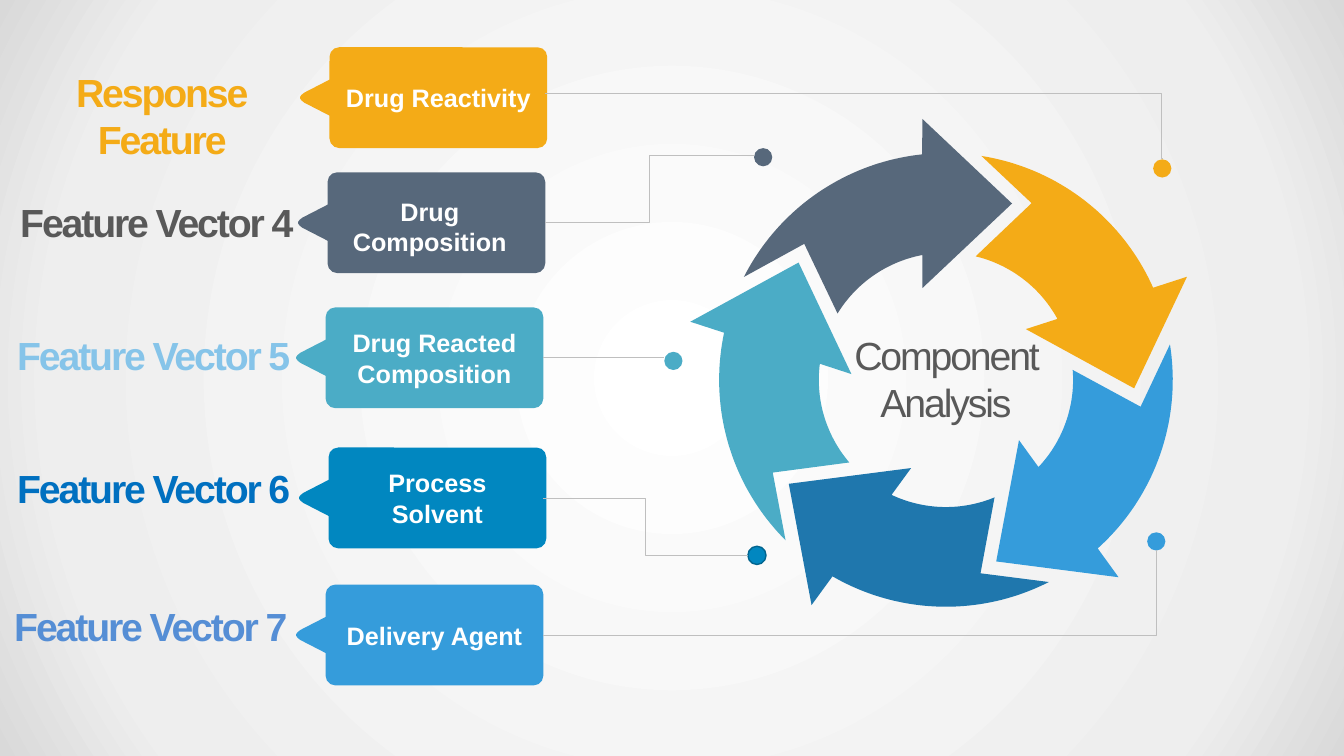
from dataclasses import dataclass
from math import cos, radians, sin

from lxml import etree
from pptx import Presentation
from pptx.dml.color import RGBColor
from pptx.enum.shapes import MSO_CONNECTOR as Link, MSO_SHAPE as Kind
from pptx.enum.text import MSO_ANCHOR as Anchor, MSO_AUTO_SIZE as Fit, PP_ALIGN as Align
from pptx.oxml import parse_xml
from pptx.oxml.ns import qn
from pptx.util import Pt

Spot = tuple[float, float]

BOX_W, BOX_H = 155.5, 72
DOT = 13
HUB = (675.7, 271.4)
OUTER, INNER = 162, 90.8


@dataclass
class Row:
    color: str
    box: Spot
    text: str
    label: str
    tint: str
    spot: Spot


@dataclass
class Dot:
    color: str
    at: Spot
    edge: str = ""


@dataclass
class Wire:
    start: Spot
    end: Spot
    bend: float = 0.5


ROWS = [
    Row("0187C0", (234.7, 319.7), "Process Solvent",
        "Feature Vector 6", "0070C0", (4.3, 328.3)),
    Row("4BACC6", (232.6, 219.6), "Drug Reacted Composition",
        "Feature Vector 5", "86C4E9", (4.3, 233.3)),
    Row("F4AB17", (235.4, 33.8), "Drug Reactivity",
        "Response\nFeature", "F4AB17", (10.4, 45.4)),
    Row("359CDB", (232.6, 417.6), "Delivery Agent",
        "Feature Vector 7", "558ED5", (2.2, 427)),
    Row("57687B", (234, 123.1), "",
        "Feature Vector 4", "595959", (6.5, 138.2)),
]

DOTS = [
    Dot("57687B", (538.6, 105.8)),
    Dot("359CDB", (819.4, 380.2)),
    Dot("0187C0", (534.2, 390.2), "01648E"),
    Dot("F4AB17", (823.7, 113.8)),
    Dot("4BACC6", (474.5, 251.3)),
]

WIRES = [
    Wire((389.5, 159.1), (538.6, 110.9)),
    Wire((388.1, 355.7), (534.2, 396.7)),
    Wire((389.5, 67), (830.2, 113), 0.999),
    Wire((388.1, 453.6), (825.8, 393.1), 1),
    Wire((388.1, 255.6), (474.5, 255.6)),
]

RING = ["57687B", "F4AB17", "359CDB", "1F77AD", "4BACC6"]


def rgb(code: str) -> RGBColor:
    return RGBColor.from_string(code)


def paint(shape, fill: str, edge: str = "") -> None:
    shape.shadow.inherit = False
    shape.fill.solid()
    shape.fill.fore_color.rgb = rgb(fill)
    if edge:
        shape.line.color.rgb = rgb(edge)
        shape.line.width = Pt(1)
    else:
        shape.line.fill.background()


def write(shape, text: str, size: float = 18, color: str = "FFFFFF", bold: bool = True,
          gap: float = 0, wrap: bool = True, anchor: Anchor = Anchor.TOP) -> None:
    frame = shape.text_frame
    frame.text = text
    frame.auto_size = Fit.NONE
    frame.word_wrap = wrap
    frame.vertical_anchor = anchor
    for para in frame.paragraphs:
        para.alignment = Align.CENTER
        for run in para.runs:
            run.font.name = "Arial"
            run.font.size = Pt(size)
            run.font.bold = bold
            run.font.color.rgb = rgb(color)
            if gap:
                run.font._element.set("spc", str(round(gap * 100)))


def trace(shapes, spots: list[Spot], color: str) -> None:
    first, *rest = [(Pt(x), Pt(y)) for x, y in spots]
    pen = shapes.build_freeform(*first, scale=1.0)
    pen.add_line_segments(rest, close=True)
    paint(pen.convert_to_shape(), color)


def polar(radius: float, angle: float) -> Spot:
    return radius * sin(radians(angle)), -radius * cos(radians(angle))


def arc(radius: float, start: float, end: float, steps: int = 40) -> list[Spot]:
    return [polar(radius, start + (end - start) * i / steps) for i in range(steps + 1)]


def turn(spot: Spot, angle: float) -> Spot:
    x, y = spot
    c, s = cos(radians(angle)), sin(radians(angle))
    return HUB[0] + x * c - y * s, HUB[1] + x * s + y * c


def draw_ring(shapes) -> None:
    head = [(-16.9, -186.5), (47.2, -126), (-16.9, -65.5)]
    notch = (-101.2, -97.2)
    arrow = arc(OUTER, -63, -6) + head + arc(INNER, -10.7, -58.5) + [notch]
    for i, color in enumerate(RING):
        trace(shapes, [turn(spot, i * 360 / len(RING)) for spot in arrow], color)


def draw_row(shapes, row: Row) -> None:
    left, top = row.box
    box = shapes.add_shape(Kind.ROUNDED_RECTANGLE, Pt(left), Pt(top), Pt(BOX_W), Pt(BOX_H))
    box.adjustments[0] = 0.096
    paint(box, row.color)
    if row.text:
        write(box, row.text, anchor=Anchor.MIDDLE)
    half = [(0, -0.6), (1, -2), (3, -3.6), (24, -14.4), (27, -15), (30, -12)]
    beak = half + [(x, -y) for x, y in reversed(half)]
    trace(shapes, [(left - 21 + x, top + BOX_H / 2 + y) for x, y in beak], row.color)
    x, y = row.spot
    label = shapes.add_textbox(Pt(x), Pt(y), Pt(211), Pt(41))
    write(label, row.label, size=28, color=row.tint, gap=-1.5, wrap=False)


def draw_dot(shapes, dot: Dot) -> None:
    x, y = dot.at
    paint(shapes.add_shape(Kind.OVAL, Pt(x), Pt(y), Pt(DOT), Pt(DOT)), dot.color, dot.edge)


def draw_wire(shapes, wire: Wire) -> None:
    flat = wire.start[1] == wire.end[1]
    kind = Link.STRAIGHT if flat else Link.ELBOW
    line = shapes.add_connector(kind, *map(Pt, wire.start + wire.end))
    line.line.color.rgb = rgb("BFBFBF")
    line.line.width = Pt(0.5)
    props = line._element.spPr
    etree.SubElement(props, qn("a:effectLst"))
    if not flat:
        guide = etree.SubElement(props.find(".//" + qn("a:avLst")), qn("a:gd"))
        guide.set("name", "adj1")
        guide.set("fmla", f"val {round(wire.bend * 100000)}")


def shade(slide) -> None:
    slide.background.fill.gradient()
    old = slide.element.find(".//" + qn("a:gradFill"))
    stops = "".join(
        f'<a:gs pos="{pos * 1000}"><a:srgbClr val="{color}"/></a:gs>'
        for pos, color in [(0, "FFFFFF"), (81, "EEEEEE"), (100, "D9D9D9")])
    old.getparent().replace(old, parse_xml(
        '<a:gradFill xmlns:a="http://schemas.openxmlformats.org/drawingml/2006/main" '
        f'rotWithShape="1"><a:gsLst>{stops}</a:gsLst><a:path path="circle">'
        '<a:fillToRect l="50000" t="50000" r="50000" b="50000"/></a:path></a:gradFill>'))


def main() -> None:
    deck = Presentation()
    deck.slide_width, deck.slide_height = Pt(960), Pt(540)
    slide = deck.slides.add_slide(deck.slide_layouts[5])
    shapes = slide.shapes
    shade(slide)
    for row in ROWS:
        draw_row(shapes, row)
    draw_ring(shapes)
    title = shapes.title
    title.left, title.top, title.width, title.height = map(Pt, (596.9, 233.3, 157.7, 75))
    write(title, "Component Analysis", size=28, color="595959", bold=False, gap=-1.5)
    for dot in DOTS:
        draw_dot(shapes, dot)
    for wire in WIRES:
        draw_wire(shapes, wire)
    note = shapes.add_textbox(Pt(229.3), Pt(136.8), Pt(BOX_W), Pt(51))
    write(note, "Drug\nComposition")
    deck.save("out.pptx")


if __name__ == "__main__":
    main()
